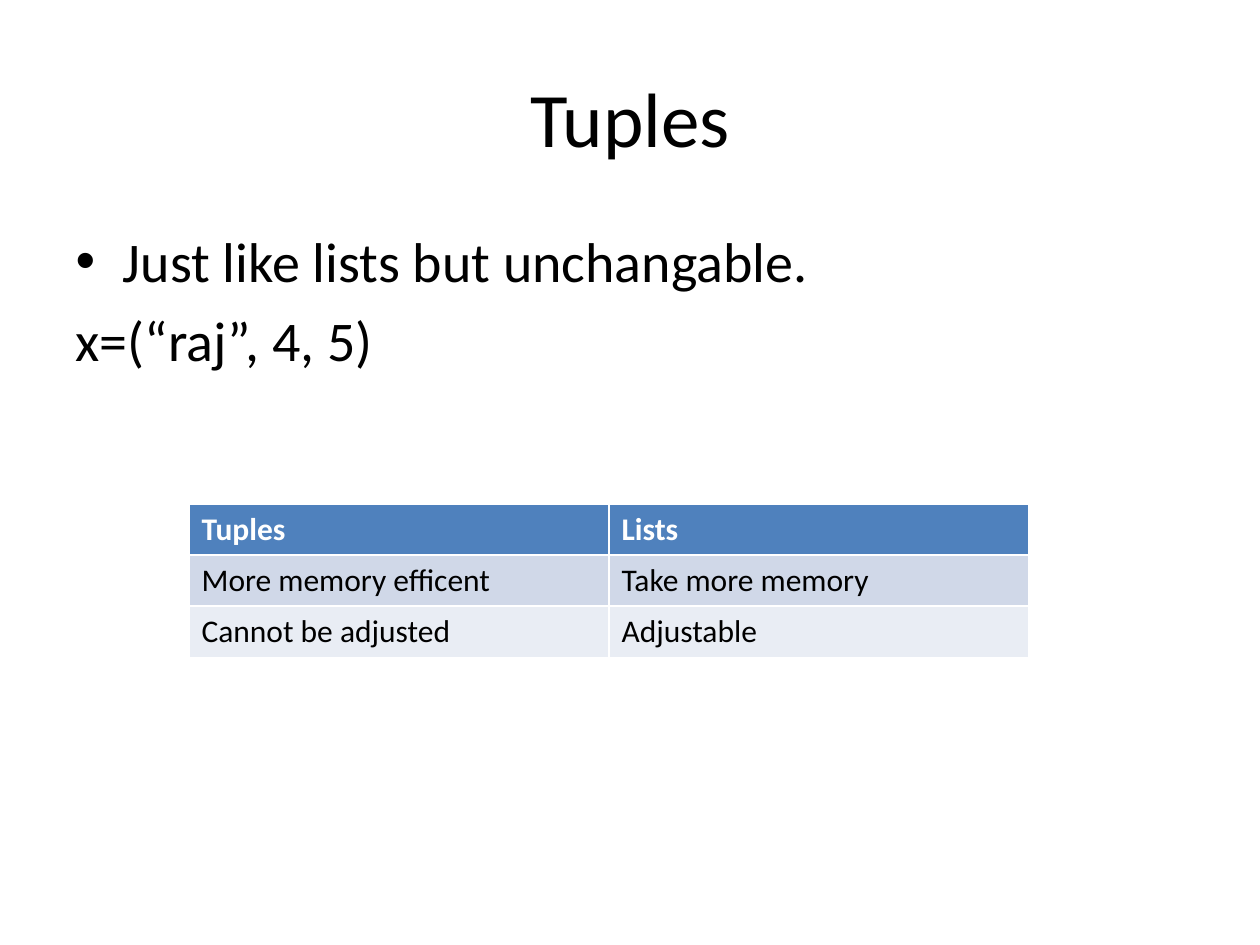
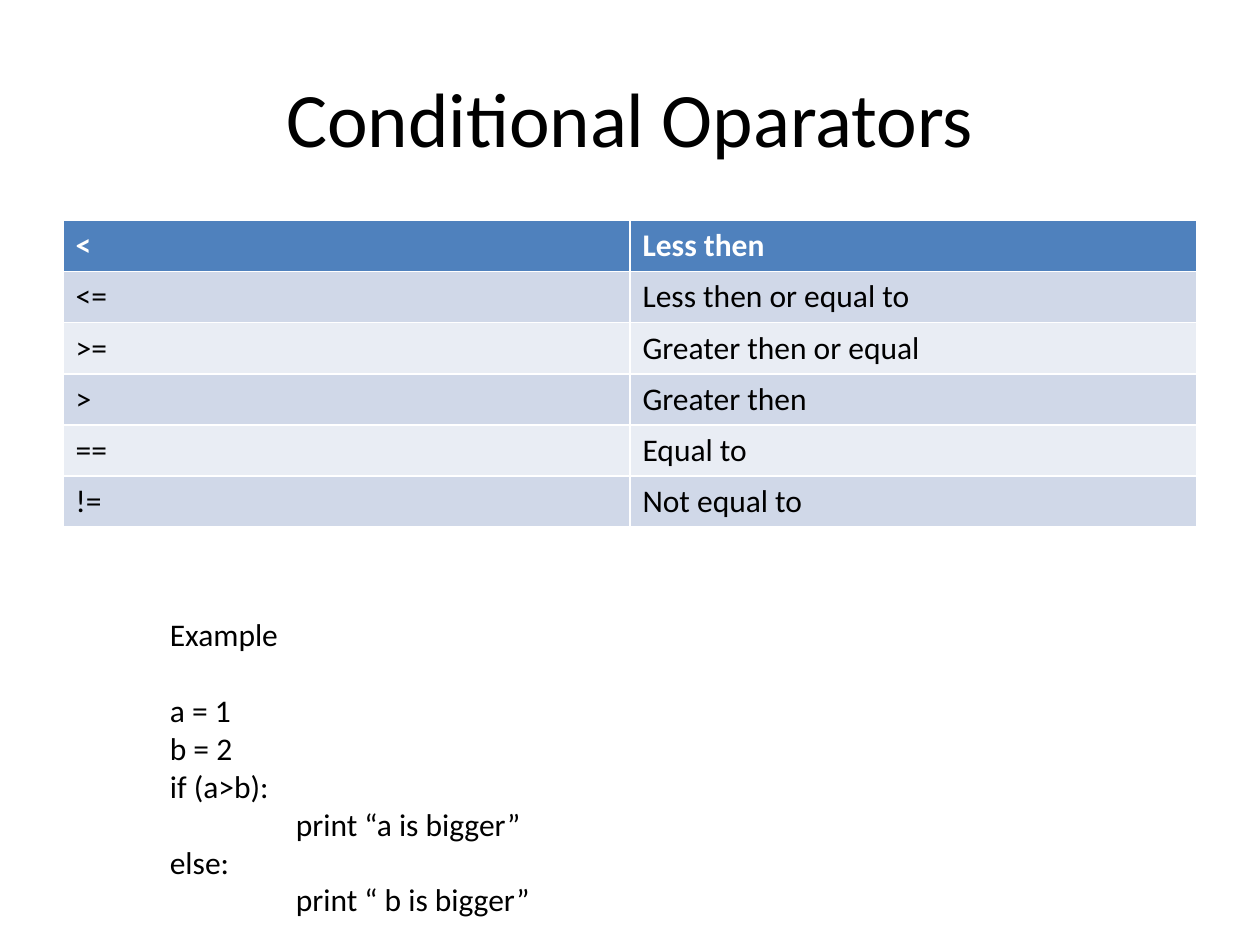
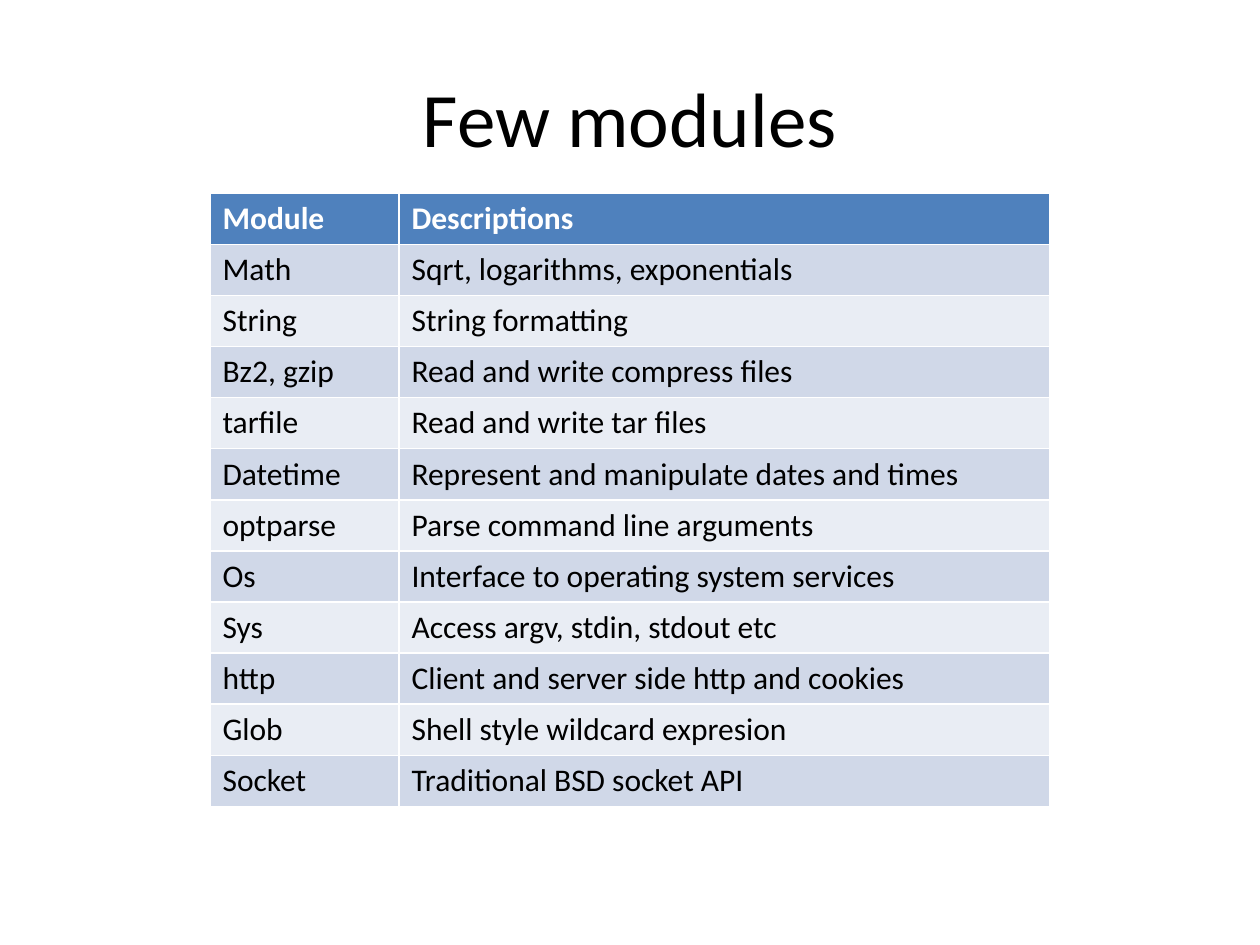
"""Build three slides on Python tuples, conditional operators and modules."""
from dataclasses import dataclass

from pptx import Presentation
from pptx.dml.color import RGBColor
from pptx.enum.text import MSO_ANCHOR, MSO_AUTO_SIZE, PP_ALIGN
from pptx.util import Pt


@dataclass(frozen=True)
class Theme:
    font: str = "Calibri"
    title_size: int = 44
    body_size: int = 32
    small_size: int = 18
    ink: str = "000000"
    header_ink: str = "FFFFFF"
    header_fill: str = "4F81BD"
    band_fills: tuple = ("D0D8E8", "E9EDF4")
    row_height: float = 29.2
    code_indent: float = 72
    heading_gap: float = 22


THEME = Theme()
SLIDE_SIZE = (720, 540)
TITLE_BOX = (36, 21.6, 648, 90)
BODY_BOX = (36, 126, 648, 356.4)
EXAMPLE_BOX = (90, 348, 402, 181.75)
TITLE_AND_BODY, TITLE_ONLY = 1, 5

SLIDES = [
    {
        "title": "Tuples",
        "body": [("Just like lists but unchangable.", True), ("x=(“raj”, 4, 5)", False)],
        "table": {
            "at": (108, 288),
            "columns": (240, 240),
            "rows": [
                ("Tuples", "Lists"),
                ("More memory efficent", "Take more memory"),
                ("Cannot be adjusted", "Adjustable"),
            ],
        },
    },
    {
        "title": "Conditional Oparators",
        "table": {
            "at": (36, 126),
            "columns": (324, 324),
            "rows": [
                ("<", "Less then"),
                ("<=", "Less then or equal to"),
                (">=", "Greater then or equal"),
                (">", "Greater then"),
                ("==", "Equal to"),
                ("!=", "Not equal to"),
            ],
        },
        "example": {
            "heading": "Example",
            "code": [
                ("a = 1", 0),
                ("b = 2", 0),
                ("if (a>b):", 0),
                ("print “a is bigger”", 1),
                ("else:", 0),
                ("print “ b is bigger”", 1),
            ],
        },
    },
    {
        "title": "Few modules",
        "table": {
            "at": (120, 110.4),
            "columns": (108, 372),
            "rows": [
                ("Module", "Descriptions"),
                ("Math", "Sqrt, logarithms, exponentials"),
                ("String", "String formatting"),
                ("Bz2, gzip", "Read and write compress files"),
                ("tarfile", "Read and write tar files"),
                ("Datetime", "Represent and manipulate dates and times"),
                ("optparse", "Parse command line arguments"),
                ("Os", "Interface to operating system services"),
                ("Sys", "Access argv, stdin, stdout etc"),
                ("http", "Client and server side http and cookies"),
                ("Glob", "Shell style wildcard expresion"),
                ("Socket", "Traditional BSD socket API"),
            ],
        },
    },
]


def style(paragraph, size, color=THEME.ink, bold=False):
    font = paragraph.font
    font.name, font.size, font.bold = THEME.font, Pt(size), bold
    font.color.rgb = RGBColor.from_string(color)


def place(shape, box):
    shape.left, shape.top, shape.width, shape.height = map(Pt, box)


def write_lines(frame, lines, size):
    frame.text = "\n".join(lines)
    for paragraph in frame.paragraphs:
        style(paragraph, size)
    return frame.paragraphs


def add_title(slide, text):
    title = slide.shapes.title
    place(title, TITLE_BOX)
    title.text_frame.vertical_anchor = MSO_ANCHOR.MIDDLE
    heading = write_lines(title.text_frame, [text], THEME.title_size)[0]
    heading.alignment = PP_ALIGN.CENTER


def add_body(slide, items):
    body = slide.placeholders[1]
    place(body, BODY_BOX)
    lines = write_lines(body.text_frame, [text for text, _ in items], THEME.body_size)
    for line, (_, bulleted) in zip(lines, items):
        if not bulleted:
            properties = line._p.get_or_add_pPr()
            properties.set("marL", "0")
            properties.set("indent", "0")
            properties.insert_element_before(
                properties.makeelement(properties.tag.replace("pPr", "buNone"), {}),
                "a:tabLst", "a:defRPr", "a:extLst",
            )


def add_grid(slide, at, columns, rows):
    size = (sum(columns), THEME.row_height * len(rows))
    table = slide.shapes.add_table(len(rows), len(columns), *map(Pt, at + size)).table
    for column, width in zip(table.columns, columns):
        column.width = Pt(width)
    for index, texts in enumerate(rows):
        table.rows[index].height = Pt(THEME.row_height)
        header = index == 0
        fill = THEME.header_fill if header else THEME.band_fills[(index - 1) % 2]
        ink = THEME.header_ink if header else THEME.ink
        for cell, text in zip(table.rows[index].cells, texts):
            cell.text = text
            cell.fill.solid()
            cell.fill.fore_color.rgb = RGBColor.from_string(fill)
            style(cell.text_frame.paragraphs[0], THEME.small_size, ink, header)


def add_example(slide, heading, code):
    frame = slide.shapes.add_textbox(*map(Pt, EXAMPLE_BOX)).text_frame
    frame.word_wrap = True
    frame.auto_size = MSO_AUTO_SIZE.SHAPE_TO_FIT_TEXT
    lines = write_lines(frame, [heading] + [text for text, _ in code], THEME.small_size)
    lines[1].space_before = Pt(THEME.heading_gap)
    for line, (_, depth) in zip(lines[1:], code):
        if depth:
            line._p.get_or_add_pPr().set("marL", str(Pt(THEME.code_indent * depth)))


def build():
    deck = Presentation()
    deck.slide_width, deck.slide_height = map(Pt, SLIDE_SIZE)
    for content in SLIDES:
        layout = TITLE_AND_BODY if "body" in content else TITLE_ONLY
        slide = deck.slides.add_slide(deck.slide_layouts[layout])
        add_title(slide, content["title"])
        if "body" in content:
            add_body(slide, content["body"])
        add_grid(slide, **content["table"])
        if "example" in content:
            add_example(slide, **content["example"])
    deck.save("out.pptx")


build()
